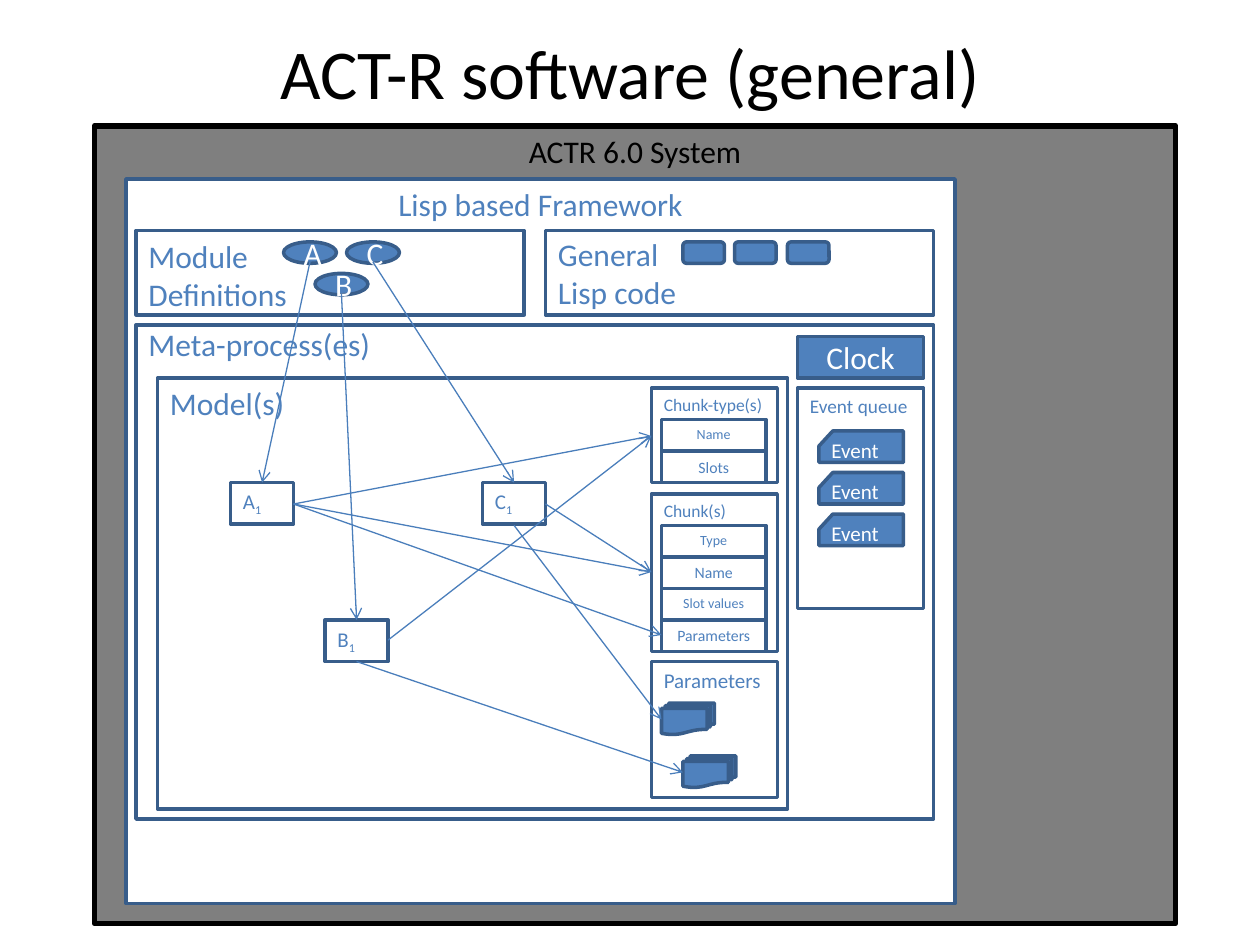
from dataclasses import dataclass

from lxml.etree import SubElement
from pptx import Presentation
from pptx.dml.color import RGBColor
from pptx.enum.shapes import MSO_CONNECTOR, MSO_SHAPE
from pptx.enum.text import MSO_ANCHOR, PP_ALIGN
from pptx.oxml.ns import qn
from pptx.util import Inches, Pt


@dataclass(frozen=True)
class Theme:
    font: str = "Calibri"
    black: RGBColor = RGBColor(0x00, 0x00, 0x00)
    white: RGBColor = RGBColor(0xFF, 0xFF, 0xFF)
    gray: RGBColor = RGBColor(0x7F, 0x7F, 0x7F)
    blue: RGBColor = RGBColor(0x4F, 0x81, 0xBD)
    border: RGBColor = RGBColor(0x38, 0x5D, 0x8A)
    arrow: RGBColor = RGBColor(0x4A, 0x7E, 0xBB)
    title: int = 40
    heading: int = 18
    label: int = 12
    queue: int = 11
    list_head: int = 10
    row: int = 9
    small_row: int = 8


T = Theme()
LEFT, CENTER = PP_ALIGN.LEFT, PP_ALIGN.CENTER
TOP, MIDDLE = MSO_ANCHOR.TOP, MSO_ANCHOR.MIDDLE

prs = Presentation()
prs.slide_width, prs.slide_height = Inches(10), Inches(7.5)
s = prs.slides.add_slide(prs.slide_layouts[6])


def write(sp, text, size, color=T.blue, align=LEFT, anchor=TOP, top=0.05, wrap=True):
    """Fill a shape with text; a "_" sets what follows it as a subscript."""
    tf = sp.text_frame
    frame = {"word_wrap": wrap, "vertical_anchor": anchor,
             "margin_left": Inches(0.1), "margin_right": Inches(0.1),
             "margin_top": Inches(top), "margin_bottom": Inches(0.05)}
    for name, value in frame.items():
        setattr(tf, name, value)
    for i, line in enumerate(text.split("\n")):
        p = tf.add_paragraph() if i else tf.paragraphs[0]
        p.alignment = align
        for j, part in enumerate(line.split("_")):
            r = p.add_run()
            r.text = part
            for name, value in {"name": T.font, "size": Pt(size)}.items():
                setattr(r.font, name, value)
            r.font.color.rgb = color
            if j:
                r.font._element.set("baseline", "-25000")


def box(at, fill=None, kind=MSO_SHAPE.RECTANGLE, line=T.border, width=2):
    """Add an outlined shape, given either its frame or its corner points."""
    if kind is None:
        outline = s.shapes.build_freeform(Inches(at[0][0]), Inches(at[0][1]), scale=1)
        outline.add_line_segments([(Inches(x), Inches(y)) for x, y in at[1:]])
        sp = outline.convert_to_shape()
    else:
        sp = s.shapes.add_shape(kind, *map(Inches, at))
    sp.shadow.inherit = False
    if fill is None:
        sp.fill.background()
    else:
        sp.fill.solid()
        sp.fill.fore_color.rgb = fill
    sp.line.color.rgb = line
    sp.line.width = Pt(width)
    return sp


# Title
title = s.shapes.add_textbox(Inches(0.5), Inches(0.3), Inches(9), Inches(0.53))
write(title, "ACT-R software (general)", T.title, T.black, CENTER, MIDDLE)

# Nested containers
write(box((0.75, 1, 8.58, 6.33), T.gray, line=T.black, width=3.25),
      "ACTR 6.0 System", T.heading, T.black, CENTER)
write(box((1, 1.42, 6.58, 5.75), T.white), "Lisp based Framework", T.heading, align=CENTER)
write(box((1.08, 2.58, 6.33, 3.92), T.white), "Meta-process(es)", T.heading, top=0)

# Module definitions
write(box((1.08, 1.83, 3.08, 0.67), T.white), "Module\nDefinitions", T.heading)
for letter, x, y in (("A", 2.25, 1.92), ("B", 2.5, 2.17), ("C", 2.75, 1.92)):
    write(box((x, y, 0.42, 0.17), T.blue, MSO_SHAPE.OVAL),
          letter, T.heading, T.white, CENTER, MIDDLE)

# General Lisp code
write(box((4.33, 1.83, 3.08, 0.67), T.white), "General\nLisp code", T.heading, anchor=MIDDLE)
for x in (5.42, 5.83, 6.25):
    box((x, 1.92, 0.33, 0.17), T.blue, MSO_SHAPE.ROUNDED_RECTANGLE)

# Clock and event queue
write(box((6.33, 2.67, 1, 0.33), T.blue), "Clock", T.heading, T.white, CENTER, MIDDLE)
write(box((6.33, 3.08, 1, 1.75), T.white), "Event queue", T.queue)
for y in (3.42, 3.75, 4.08):
    card = [(7.17, y), (6.61, y), (6.5, y + 0.12), (6.5, y + 0.25), (7.17, y + 0.25)]
    write(box(card, T.blue, kind=None), "Event", T.label, T.white, top=0.05, wrap=False)

# Model and its module instances
write(box((1.25, 3, 5, 3.42)), "Model(s)", T.heading)
for text, x, y in (("A_1", 1.83, 3.83), ("B_1", 2.58, 4.92), ("C_1", 3.83, 3.83)):
    write(box((x, y, 0.5, 0.33)), text, T.label)

# Chunk types, chunks and parameters, with their rows
panels = (
    ("Chunk-type(s)", T.list_head, 3.08, 0.75, 3.33,
     (("Name", T.small_row), ("Slots", T.row))),
    ("Chunk(s)", T.list_head, 3.92, 1.25, 4.17,
     (("Type", T.small_row), ("Name", T.row),
      ("Slot values", T.small_row), ("Parameters", T.row))),
    ("Parameters", T.label, 5.25, 1.08, 5.58, ()),
)
for heading, size, y, height, first_row, rows in panels:
    write(box((5.17, y, 1, height)), heading, size)
    for i, (text, row_size) in enumerate(rows):
        write(box((5.25, first_row + 0.25 * i, 0.83, 0.25)), text, row_size, align=CENTER)
for x, y in ((5.25, 5.58), (5.42, 6)):
    box((x, y, 0.42, 0.25), T.blue, MSO_SHAPE.FLOWCHART_MULTIDOCUMENT)

# Arrows from definitions to instances, and from instances to data
a1_right, type_name, chunk_name = (2.33, 4), (5.17, 3.46), (5.17, 4.54)
arrows = (
    ((2.46, 2.08), (2.08, 3.83)),
    ((2.71, 2.33), (2.83, 4.92)),
    ((2.96, 2.08), (4.08, 3.83)),
    ((4.08, 4.17), (5.25, 5.71)),
    ((2.83, 5.25), (5.42, 6.13)),
    (a1_right, type_name),
    ((3.08, 5.08), type_name),
    (a1_right, chunk_name),
    ((4.33, 4), chunk_name),
    (a1_right, (5.25, 5.04)),
)
for start, end in arrows:
    arrow = s.shapes.add_connector(MSO_CONNECTOR.STRAIGHT, *map(Inches, start + end))
    arrow.line.color.rgb = T.arrow
    arrow.line.width = Pt(0.75)
    SubElement(arrow.line._get_or_add_ln(), qn("a:tailEnd"), type="arrow")
    SubElement(arrow._element.spPr, qn("a:effectLst"))

prs.save("out.pptx")
